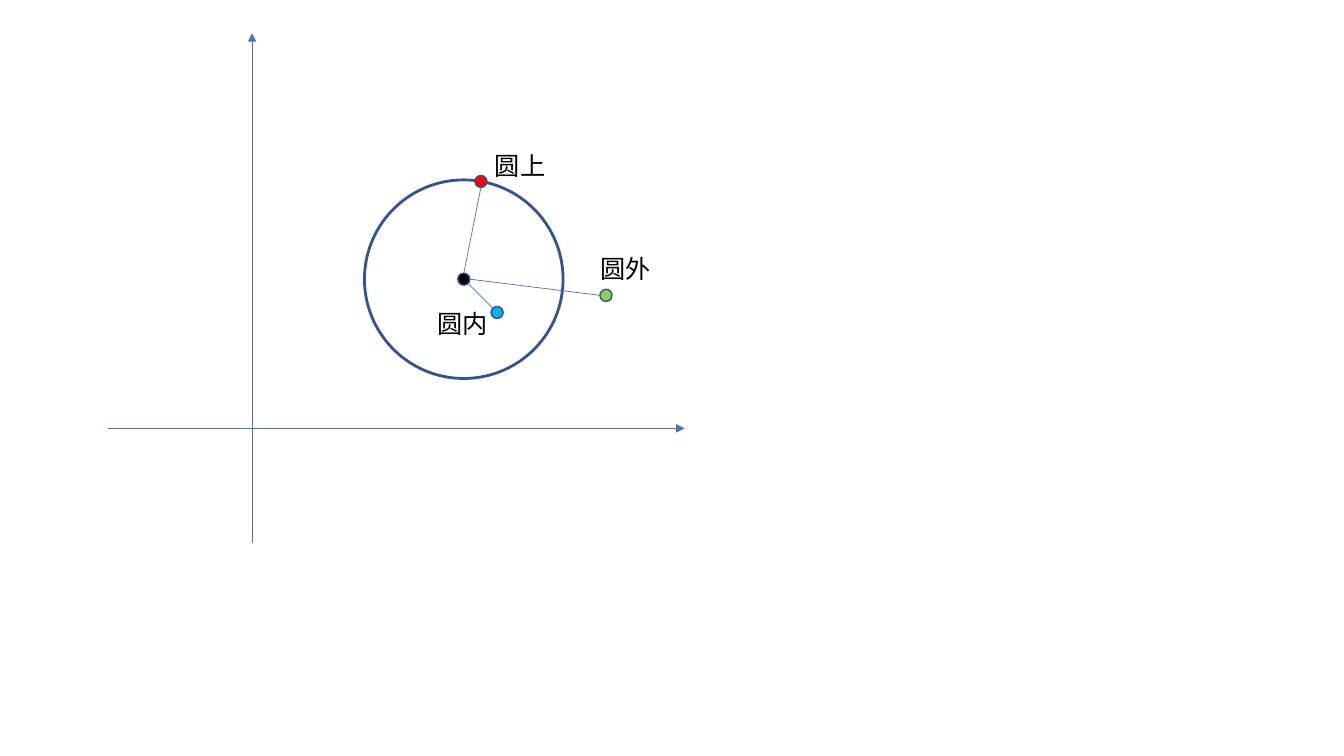
from pptx import Presentation
from pptx.dml.color import RGBColor
from pptx.enum.shapes import MSO_CONNECTOR as Connector, MSO_SHAPE as Shape
from pptx.enum.text import MSO_AUTO_SIZE as AutoSize
from pptx.oxml.ns import qn
from pptx.util import Inches, Pt
from lxml.etree import SubElement

COLORS = {
    "axis": "4472C4", "outline": "325491", "text": "000000",
    "center": "000000", "on": "FF0000", "outside": "92D050", "inside": "00B0F0",
}


class Diagram:
    font_name = "Noto Sans CJK SC"
    font_size = Pt(18)

    def __init__(self, page):
        self.page = page

    def color(self, name):
        return RGBColor.from_string(COLORS[name])

    def circle(self, center, radius, width, fill=None):
        x, y = center
        circle = self.page.shapes.add_shape(
            Shape.OVAL, Inches(x - radius), Inches(y - radius),
            Inches(2 * radius), Inches(2 * radius))
        circle.shadow.inherit = False
        if fill:
            circle.fill.solid()
            circle.fill.fore_color.rgb = self.color(fill)
        else:
            circle.fill.background()
        circle.line.color.rgb = self.color("outline")
        circle.line.width = Pt(width)

    def line(self, start, end, arrow=False):
        line = self.page.shapes.add_connector(
            Connector.STRAIGHT, *(Inches(value) for value in (*start, *end)))
        line.line.color.rgb = self.color("axis")
        line.line.width = Pt(0.5)
        if arrow:
            SubElement(line.line._get_or_add_ln(), qn("a:tailEnd"), type="triangle")
        SubElement(line._element.spPr, qn("a:effectLst"))

    def label(self, text, left, top):
        box = self.page.shapes.add_textbox(
            Inches(left), Inches(top), Inches(0.71), Inches(0.4))
        frame = box.text_frame
        frame.word_wrap = False
        frame.auto_size = AutoSize.SHAPE_TO_FIT_TEXT
        para = frame.paragraphs[0]
        para.text = text
        font = para.font
        font.size = self.font_size
        font.color.rgb = self.color("text")
        font.name = self.font_name
        # East Asian typeface
        SubElement(font._element, qn("a:ea"), typeface=self.font_name)


def rim(center, direction):
    return [c + DOT_RADIUS * d for c, d in zip(center, direction)]


DOT_RADIUS = 0.06
CENTER = (4.6, 2.77)
# Fill, position, direction of the radius toward the center, label, label corner
POINTS = [
    ("on", (4.77, 1.8), (0, 1), "圆上", (4.81, 1.44)),
    ("outside", (6.01, 2.93), (-1, 0), "圆外", (5.86, 2.46)),
    ("inside", (4.93, 3.1), (-0.7, -0.7), "圆内", (4.24, 3.01)),
]

deck = Presentation()
deck.slide_width, deck.slide_height = Inches(13.33), Inches(7.5)
diagram = Diagram(deck.slides.add_slide(deck.slide_layouts[6]))

# Circle and axes
diagram.circle(CENTER, 0.985, 2)
diagram.line((2.5, 5.39), (2.5, 0.33), arrow=True)
diagram.line((1.07, 4.25), (6.79, 4.25), arrow=True)

# Center and test points
diagram.circle(CENTER, DOT_RADIUS, 1, "center")
for fill, position, *_ in POINTS:
    diagram.circle(position, DOT_RADIUS, 1, fill)

# Distances to the center, from rim to rim
for _, position, toward, *_ in POINTS:
    diagram.line(rim(position, toward), rim(CENTER, [-d for d in toward]))

# Labels
for *_, text, corner in POINTS:
    diagram.label(text, *corner)

deck.save("out.pptx")
